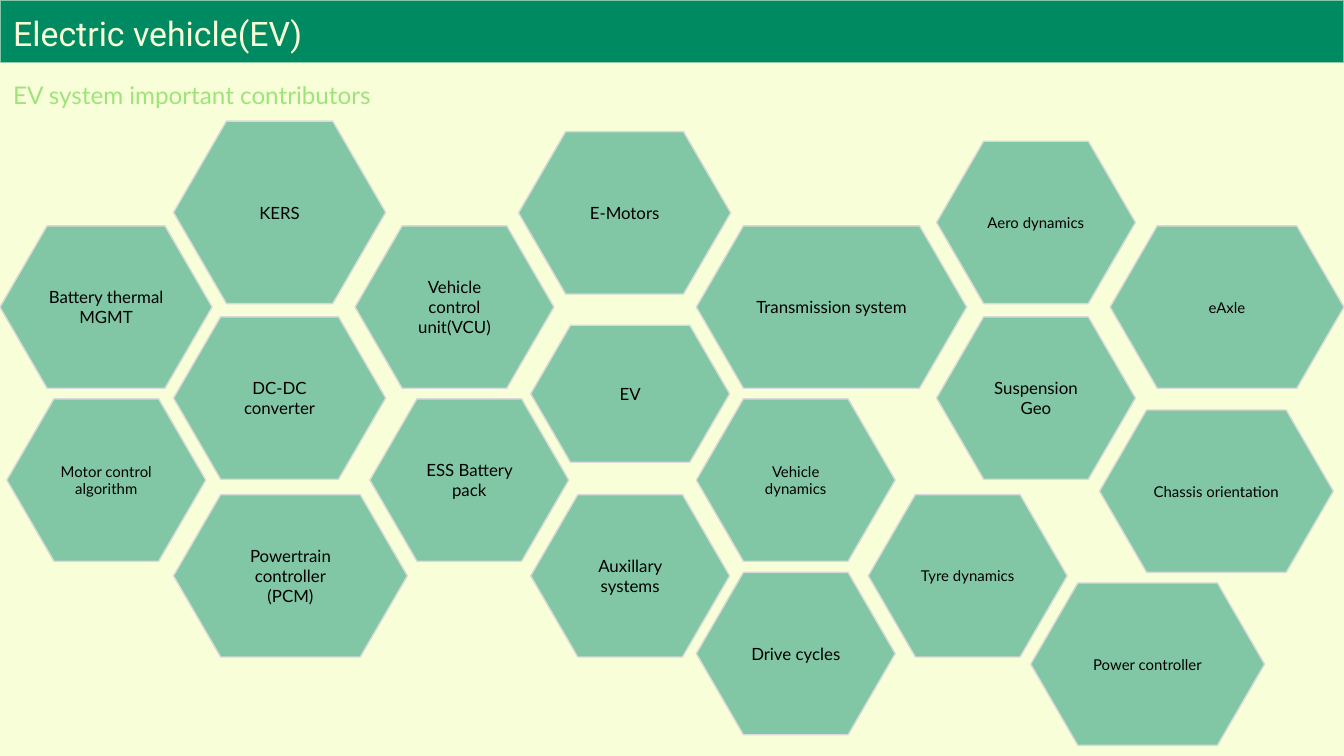
from dataclasses import dataclass

from pptx import Presentation
from pptx import util as u
from pptx.dml import color
from pptx.enum import shapes, text


@dataclass(frozen=True)
class Theme:
    green: str = "008A62"
    mint: str = "82C7A5"
    cream: str = "F8FED8"
    lime: str = "9FE47B"
    grey: str = "D9D9D9"
    black: str = "000000"
    title_size: float = 18.1
    subtitle_size: float = 13
    label_size: float = 9
    small_size: float = 8


theme = Theme()


def rgb(value):
    return color.RGBColor.from_string(value)


def write(box, words, size, ink, font="Lato", align=text.PP_ALIGN.LEFT,
          anchor=text.MSO_ANCHOR.TOP, spacing=1.0):
    frame = box.text_frame
    frame.word_wrap = True
    frame.vertical_anchor = anchor
    frame.margin_left = frame.margin_right = u.Cm(0.25)
    frame.margin_top = frame.margin_bottom = u.Cm(0.25)
    for index, line in enumerate(words.split("\n")):
        para = frame.add_paragraph() if index else frame.paragraphs[0]
        para.alignment = align
        para.line_spacing = spacing
        span = para.add_run()
        span.text = line
        span.font.name = font
        span.font.size = u.Pt(size)
        span.font.color.rgb = rgb(ink)


deck = Presentation()
deck.slide_width = u.Cm(25.4)
deck.slide_height = u.Cm(14.29)
page = deck.slides.add_slide(deck.slide_layouts[6])

title_height = 1.19
title = page.shapes.add_shape(shapes.MSO_SHAPE.RECTANGLE, 0, 0,
                              deck.slide_width, u.Cm(title_height))
title.shadow.inherit = False
title.fill.solid()
title.fill.fore_color.rgb = rgb(theme.green)
title.line.color.rgb = rgb(theme.mint)
title.line.width = u.Pt(0.75)
write(title, "Electric vehicle(EV)", theme.title_size, theme.cream, font="Roboto")

body = page.shapes.add_shape(shapes.MSO_SHAPE.RECTANGLE, 0, u.Cm(title_height),
                             deck.slide_width, deck.slide_height - u.Cm(title_height))
body.shadow.inherit = False
body.fill.solid()
body.fill.fore_color.rgb = rgb(theme.cream)
body.line.fill.background()
write(body, "EV system important contributors", theme.subtitle_size, theme.lime,
      spacing=1.15)

narrow, medium, wide, widest = 3.76, 4.01, 4.42, 5.11
short, normal, tall = 2.59, 3.07, 3.45
large, small = theme.label_size, theme.small_size

contributors = [
    ("KERS", 3.28, 2.29, medium, tall, large),
    ("Powertrain controller\n(PCM)", 3.28, 9.35, wide, normal, large),
    ("DC-DC converter", 3.28, 5.99, medium, normal, large),
    ("Battery thermal MGMT", 0, 4.27, medium, normal, large),
    ("Motor control algorithm", 0.13, 7.54, narrow, normal, small),
    ("Vehicle control unit(VCU)", 6.71, 4.27, narrow, normal, large),
    ("ESS Battery pack", 6.99, 7.54, narrow, normal, large),
    ("Auxillary systems", 10.03, 9.35, narrow, normal, large),
    ("E-Motors", 9.8, 2.49, medium, normal, large),
    ("Transmission system", 13.16, 4.27, widest, normal, large),
    ("Vehicle dynamics", 13.16, 7.54, narrow, normal, small),
    ("Suspension Geo", 17.7, 5.99, narrow, normal, large),
    ("Tyre dynamics", 16.41, 9.35, narrow, normal, small),
    ("Aero dynamics", 17.7, 2.67, narrow, normal, small),
    ("Drive cycles", 13.16, 10.82, narrow, normal, large),
    ("Chassis orientation", 20.78, 7.75, wide, normal, small),
    ("eAxle", 20.98, 4.27, wide, normal, small),
    ("Power controller", 19.48, 11.02, wide, normal, small),
    ("EV", 10.03, 6.15, narrow, short, large),
]

for label, left, top, width, height, size in contributors:
    hexagon = page.shapes.add_shape(shapes.MSO_SHAPE.HEXAGON, u.Cm(left), u.Cm(top),
                                    u.Cm(width), u.Cm(height))
    hexagon.adjustments[0] = 0.29
    hexagon.shadow.inherit = False
    hexagon.fill.solid()
    hexagon.fill.fore_color.rgb = rgb(theme.mint)
    hexagon.line.color.rgb = rgb(theme.grey)
    hexagon.line.width = u.Pt(0.75)
    write(hexagon, label, size, theme.black, align=text.PP_ALIGN.CENTER,
          anchor=text.MSO_ANCHOR.MIDDLE)

deck.save("out.pptx")
